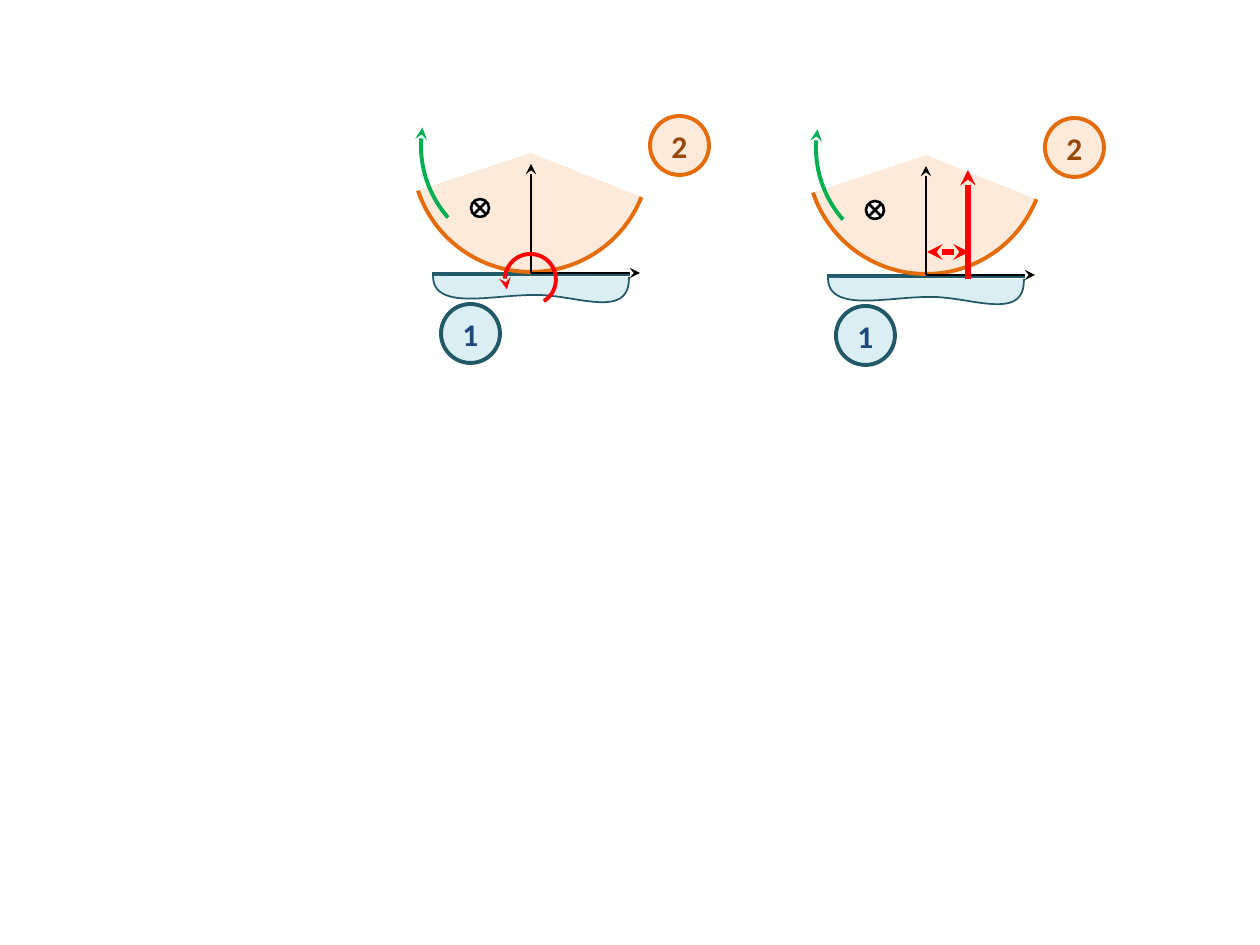
from lxml.etree import SubElement
from pptx import Presentation
from pptx.dml.color import RGBColor
from pptx.enum.shapes import MSO_CONNECTOR, MSO_SHAPE
from pptx.enum.text import MSO_ANCHOR, PP_ALIGN
from pptx.oxml.ns import qn
from pptx.util import Pt

PX = 914400 // 126
FONT = "Calibri"
COLORS = {
    "wheel": "E46C0A", "wheel_fill": "FDEADA", "wheel_text": "984807",
    "ground": "215968", "ground_fill": "DBEEF4", "ground_text": "1F497D",
    "axis": "000000", "force": "FF0000", "rotation": "00B050", "white": "FFFFFF",
}

# Positions in px within the first diagram; the second is shifted
DIAGRAMS = [
    {"shift": (0, 0), "model": "moment"},
    {"shift": (395, 2), "model": "offset force"},
]
GROUND_LINE = (432, 274, 630, 274)
GROUND_CURVES = [
    [(433, 276), (433, 311), (492, 295), (534, 295)],
    [(534, 295), (575, 294), (630, 321), (629, 277)],
]
CURVE_STEPS = 24
BADGES = [
    ("2", 650, 116, "wheel"),
    ("1", 441, 304, "ground"),
]
BADGE_SIZE = 59
AXES = [(531, 273, 531, 164), (531, 273, 640, 273)]
FORCE = (573, 277, 573, 168)
LEVER = (532, 250, 574, 250)
SYMBOL = (471, 199, 18)
SYMBOL_CROSS = [(474, 202, 486, 214), (486, 202, 474, 214)]
# left, top, size, start angle, end angle
WHEEL_ARC = (412, 34, 238, 21.78, 161.59)
MOMENT_ARC = (505, 254, 51, 157.1, 58.15)
ROTATION_ARC = (421, 36, 219, 138.83, 189.45)


def color(name):
    return RGBColor.from_string(COLORS[name])


def style_line(shape, line_color, width, head=False, tail=False):
    shape.line.color.rgb = color(line_color)
    shape.line.width = Pt(width)
    line = shape.line._get_or_add_ln()
    for tag, wanted in (("a:headEnd", head), ("a:tailEnd", tail)):
        if wanted:
            SubElement(line, qn(tag), type="stealth")


def style_shape(shape, fill, line_color, width, **arrows):
    shape.shadow.inherit = False
    if fill:
        shape.fill.solid()
        shape.fill.fore_color.rgb = color(fill)
    else:
        shape.fill.background()
    style_line(shape, line_color, width, **arrows)


def add_round(shapes, kind, place, size, shift):
    left, top = (value + move for value, move in zip(place, shift))
    return shapes.add_shape(kind, left * PX, top * PX, size * PX, size * PX)


def add_line(shapes, ends, shift, line_color, width, **arrows):
    points = [(value + move) * PX for value, move in zip(ends, shift * 2)]
    line = shapes.add_connector(MSO_CONNECTOR.STRAIGHT, *points)
    style_line(line, line_color, width, **arrows)
    SubElement(line._element.spPr, qn("a:effectLst"))


def add_arc(shapes, arc, shift, fill, line_color, **arrows):
    left, top, size, start, end = arc
    shape = add_round(shapes, MSO_SHAPE.ARC, (left, top), size, shift)
    # Adjustments count 60000 per degree, scaled down by 100000
    shape.adjustments[0] = start * 0.6
    shape.adjustments[1] = end * 0.6
    style_shape(shape, fill, line_color, 2.25, **arrows)


def bezier_point(curve, t):
    weights = ((1 - t) ** 3, 3 * t * (1 - t) ** 2, 3 * t * t * (1 - t), t ** 3)
    return tuple(sum(w * point[axis] for w, point in zip(weights, curve)) for axis in (0, 1))


def add_ground(shapes, shift):
    points = [bezier_point(curve, step / CURVE_STEPS)
              for curve in GROUND_CURVES for step in range(CURVE_STEPS + 1)]
    points = [((x + shift[0]) * PX, (y + shift[1]) * PX) for x, y in points]
    builder = shapes.build_freeform(*points[0], scale=1.0)
    builder.add_line_segments(points[1:], close=False)
    style_shape(builder.convert_to_shape(), "ground_fill", "ground", 1)


def add_badge(shapes, text, left, top, part, shift):
    badge = add_round(shapes, MSO_SHAPE.OVAL, (left, top), BADGE_SIZE, shift)
    style_shape(badge, part + "_fill", part, 2.25)
    frame = badge.text_frame
    frame.margin_left = frame.margin_right = frame.margin_top = frame.margin_bottom = 0
    frame.vertical_anchor = MSO_ANCHOR.MIDDLE
    frame.text = text
    paragraph = frame.paragraphs[0]
    paragraph.alignment = PP_ALIGN.CENTER
    font = paragraph.runs[0].font
    font.name, font.size, font.bold = FONT, Pt(18), True
    font.color.rgb = color(part + "_text")


def add_diagram(shapes, shift, model):
    # Wheel on the ground
    add_line(shapes, GROUND_LINE, shift, "ground", 2.25)
    add_arc(shapes, WHEEL_ARC, shift, "wheel_fill", "wheel")
    add_ground(shapes, shift)
    for badge in BADGES:
        add_badge(shapes, *badge, shift)

    # Axes, with the shifted normal force where it applies
    axes = shapes.add_group_shape().shapes
    for axis in AXES:
        add_line(axes, axis, shift, "axis", 1.5, tail=True)
    if model == "offset force":
        add_line(axes, FORCE, shift, "force", 3, tail=True)

    # Axis pointing into the plane
    symbol = shapes.add_group_shape().shapes
    circle = add_round(symbol, MSO_SHAPE.OVAL, SYMBOL[:2], SYMBOL[2], shift)
    style_shape(circle, "white", "axis", 1.5)
    for stroke in SYMBOL_CROSS:
        add_line(symbol, stroke, shift, "axis", 1.5)

    # Rolling resistance and direction of rotation
    if model == "moment":
        add_arc(shapes, MOMENT_ARC, shift, None, "force", head=True)
    add_arc(shapes, ROTATION_ARC, shift, None, "rotation", tail=True)
    if model == "offset force":
        add_line(shapes, LEVER, shift, "force", 3, head=True, tail=True)


def main():
    presentation = Presentation()
    presentation.slide_width = 1260 * PX
    presentation.slide_height = 945 * PX
    slide = presentation.slides.add_slide(presentation.slide_layouts[6])
    for diagram in DIAGRAMS:
        add_diagram(slide.shapes, **diagram)
    presentation.save("out.pptx")


if __name__ == "__main__":
    main()
